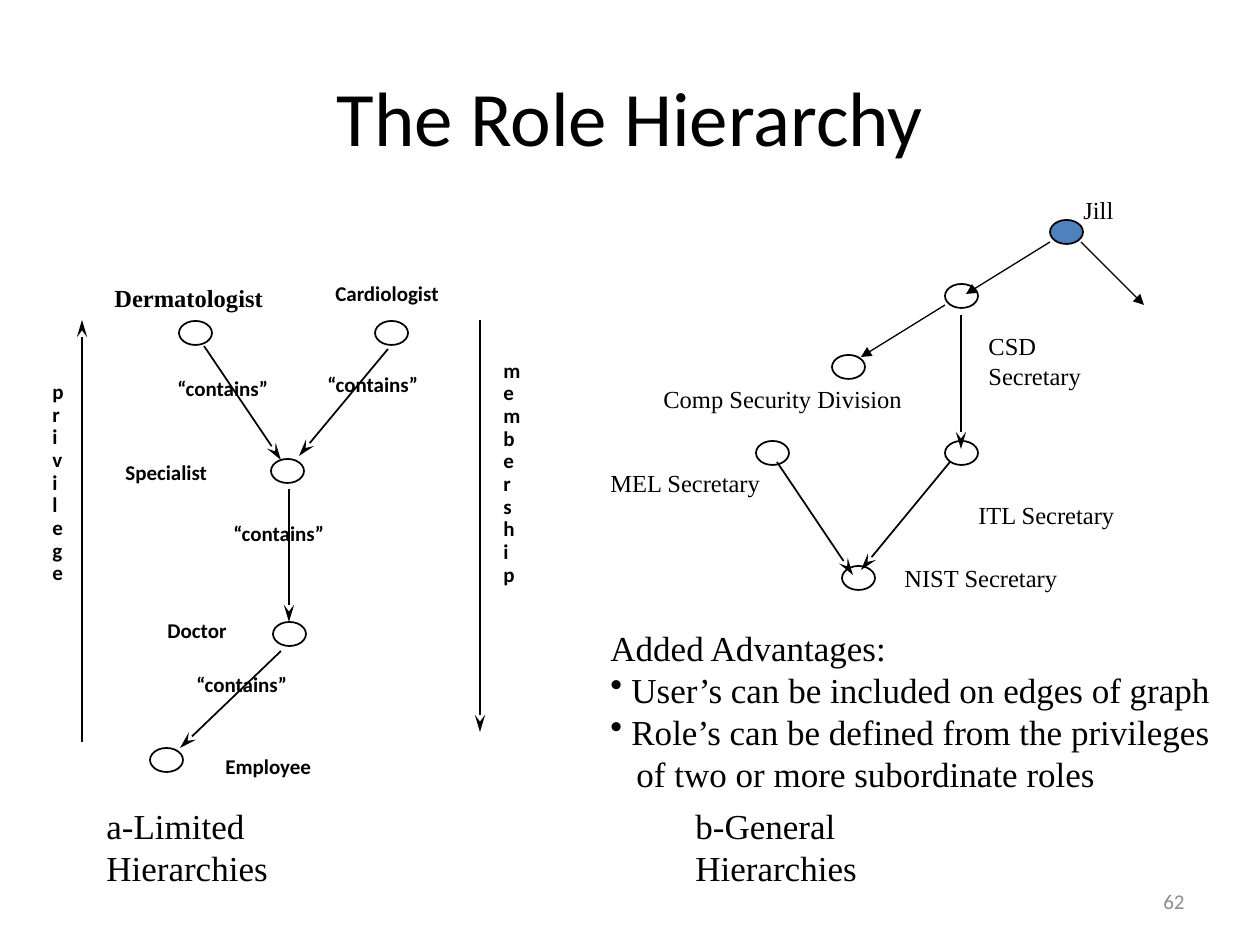
from dataclasses import dataclass

from lxml.etree import SubElement
from pptx import Presentation
from pptx.dml.color import RGBColor
from pptx.enum.shapes import MSO_CONNECTOR, MSO_SHAPE
from pptx.enum.text import MSO_ANCHOR, MSO_AUTO_SIZE, PP_ALIGN
from pptx.oxml.ns import qn
from pptx.util import Emu, Pt


@dataclass(frozen=True)
class Theme:
    sans: str = "Calibri"
    serif: str = "Times New Roman"
    ink: RGBColor = RGBColor(0x00, 0x00, 0x00)
    user: RGBColor = RGBColor(0x4F, 0x81, 0xBD)
    muted: RGBColor = RGBColor(0x8C, 0x8C, 0x8C)
    title: int = 44
    body: int = 20
    role: int = 14
    small: int = 12
    edge: float = 1
    thin_edge: float = 0.75


THEME = Theme()
EMU_PER_PX = 914400 / 126
SLIDE_SIZE = (1260, 945)
NODE_SIZE = (33, 24)

TITLE = ("The Role Hierarchy", (84, 63, 1092, 105))
PAGE_NUMBER = ("62", (903, 876, 294, 50))

# Each label: words, (left, top, width, height)
LIMITED_LABELS = [
    ("Cardiologist", (323, 277, 149, 35)),
    ("Specialist", (113, 456, 123, 35)),
    ("Doctor", (155, 614, 93, 35)),
    ("Employee", (213, 750, 125, 35)),
    *[("“contains”", (left, top, 132, 35))
      for left, top in [(165, 372), (315, 368), (221, 517), (184, 668)]],
]
AXIS_LABELS = [
    ("privilege", (40, 375, 38, 218)),
    ("membership", (491, 354, 44, 241)),
]
DERMATOLOGIST = ("Dermatologist", (102, 277, 174, 42))
GENERAL_LABELS = [
    ("Jill", (1071, 189, 55, 42)),
    ("CSD Secretary", (976, 325, 171, 42)),
    ("Comp Security Division", (651, 378, 315, 42)),
    ("MEL Secretary", (598, 462, 175, 42)),
    ("ITL Secretary", (966, 494, 161, 42)),
    ("NIST Secretary", (892, 557, 178, 42)),
]
CAPTIONS = [
    ("a-Limited Hierarchies", (94, 798, 330, 54)),
    ("b-General Hierarchies", (683, 798, 330, 54)),
]

# Each line: words, left indent, has a bullet
ADVANTAGES_BOX = (598, 620, 634, 180)
ADVANTAGES = [
    ("Added Advantages:", 0, False),
    ("User’s can be included on edges of graph", 21, True),
    ("Role’s can be defined from the privileges", 21, True),
    ("of two or more subordinate roles", 26, False),
]

ROLES = [
    (179, 321), (375, 321), (271, 459), (273, 622), (150, 748),
    (945, 284), (832, 355), (756, 441), (945, 441), (842, 566),
]
JILL = (1050, 220)

# Each edge: start x, start y, end x, end y
CONTAINS_EDGES = [
    (204, 346, 281, 460), (388, 349, 299, 456),
    (289, 489, 289, 622), (281, 651, 180, 748),
    (950, 462, 861, 570), (777, 462, 853, 575), (961, 315, 961, 449),
]
AXES = [(82, 742, 82, 320), (480, 320, 480, 732)]
USER_EDGES = [
    (945, 305, 861, 357), (1050, 242, 966, 294), (1081, 242, 1144, 305),
]


def px(*lengths):
    return [Emu(round(length * EMU_PER_PX)) for length in lengths]


def add_run(paragraph, words, font, size, bold=False, color=THEME.ink):
    run = paragraph.add_run()
    run.text = words
    run.font.name = font
    run.font.size = Pt(size)
    run.font.bold = bold
    run.font.color.rgb = color


def add_frame(slide, box, wrap=False, grow=True):
    frame = slide.shapes.add_textbox(*px(*box)).text_frame
    frame.word_wrap = wrap
    frame.auto_size = MSO_AUTO_SIZE.SHAPE_TO_FIT_TEXT if grow else MSO_AUTO_SIZE.NONE
    return frame


def add_lines(slide, lines, box, font, size, bold=False, spacing=None, wrap=False):
    frame = add_frame(slide, box, wrap)
    for index, words in enumerate(lines):
        paragraph = frame.add_paragraph() if index else frame.paragraphs[0]
        paragraph.line_spacing = spacing
        add_run(paragraph, words, font, size, bold)


def add_node(slide, corner, fill=None):
    node = slide.shapes.add_shape(MSO_SHAPE.OVAL, *px(*corner, *NODE_SIZE))
    node.shadow.inherit = False
    if fill is None:
        node.fill.background()
    else:
        node.fill.solid()
        node.fill.fore_color.rgb = fill
    node.line.color.rgb = THEME.ink
    node.line.width = Pt(THEME.edge)


def add_arrow(slide, ends, width, head, length):
    arrow = slide.shapes.add_connector(MSO_CONNECTOR.STRAIGHT, *px(*ends))
    arrow.line.color.rgb = THEME.ink
    arrow.line.width = Pt(width)
    SubElement(arrow.line._get_or_add_ln(), qn("a:tailEnd"),
               type=head, w="med", len=length)
    SubElement(arrow._element.spPr, qn("a:effectLst"))


def add_advantages(slide):
    frame = add_frame(slide, ADVANTAGES_BOX)
    for index, (words, indent, bulleted) in enumerate(ADVANTAGES):
        paragraph = frame.add_paragraph() if index else frame.paragraphs[0]
        properties = paragraph._p.get_or_add_pPr()
        margin = px(indent)[0]
        properties.set("marL", str(margin))
        properties.set("indent", str(-margin if bulleted else 0))
        if bulleted:
            SubElement(properties, qn("a:buChar"), char="•")
        add_run(paragraph, words, THEME.serif, THEME.body)


def add_title(slide):
    words, box = TITLE
    title = slide.shapes.title
    title.left, title.top, title.width, title.height = px(*box)
    title.text_frame.vertical_anchor = MSO_ANCHOR.TOP
    paragraph = title.text_frame.paragraphs[0]
    paragraph.alignment = PP_ALIGN.CENTER
    add_run(paragraph, words, THEME.sans, THEME.title)


def add_page_number(slide):
    words, box = PAGE_NUMBER
    frame = add_frame(slide, box, wrap=True, grow=False)
    frame.vertical_anchor = MSO_ANCHOR.MIDDLE
    frame.paragraphs[0].alignment = PP_ALIGN.RIGHT
    add_run(frame.paragraphs[0], words, THEME.sans, THEME.small, color=THEME.muted)


def main():
    deck = Presentation()
    deck.slide_width, deck.slide_height = px(*SLIDE_SIZE)
    slide = deck.slides.add_slide(deck.slide_layouts[5])
    add_title(slide)

    for corner in ROLES:
        add_node(slide, corner)
    add_node(slide, JILL, THEME.user)
    for ends in CONTAINS_EDGES + AXES:
        add_arrow(slide, ends, THEME.edge, "stealth", "lg")
    for ends in USER_EDGES:
        add_arrow(slide, ends, THEME.thin_edge, "triangle", "med")

    for words, box in LIMITED_LABELS:
        add_lines(slide, [words], box, THEME.sans, THEME.small, True, 0.9)
    for letters, box in AXIS_LABELS:
        add_lines(slide, letters, box, THEME.sans, THEME.small, True, 0.9)
    words, box = DERMATOLOGIST
    add_lines(slide, [words], box, THEME.serif, THEME.role, True)
    for words, box in GENERAL_LABELS:
        add_lines(slide, [words], box, THEME.serif, THEME.role)
    for words, box in CAPTIONS:
        add_lines(slide, [words], box, THEME.serif, THEME.body, wrap=True)
    add_advantages(slide)
    add_page_number(slide)
    deck.save("out.pptx")


if __name__ == "__main__":
    main()
